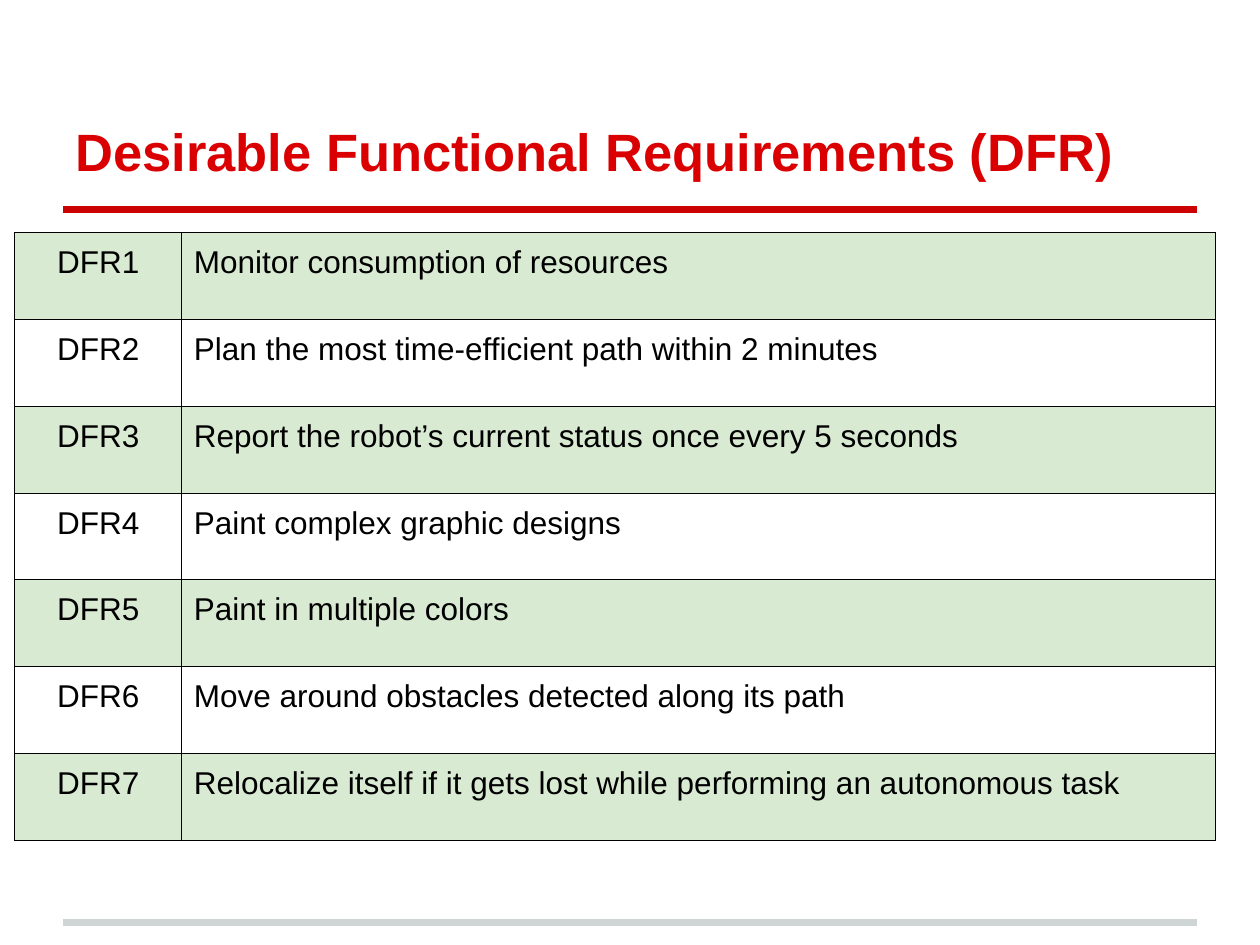
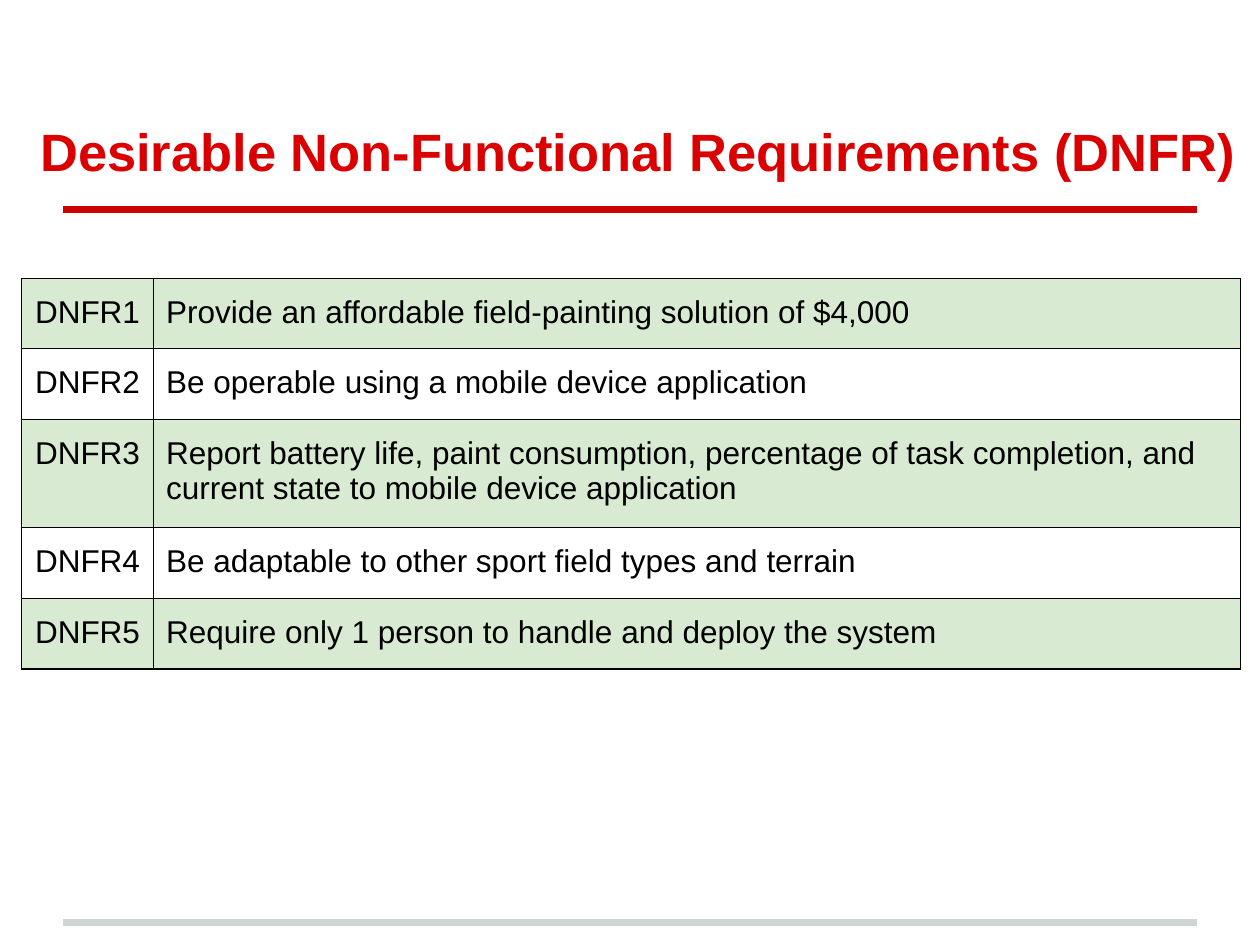
"""Builds two slides that list desirable requirements in striped tables."""
from lxml import etree
from pptx import Presentation
from pptx.dml.color import RGBColor
from pptx.enum import shapes, text
from pptx.oxml.ns import qn
from pptx.util import Cm, Pt

REQUIREMENT_SLIDES = [
    {
        "title": "Desirable Functional Requirements (DFR)",
        "title_left": 1.27, "title_width": 22.86,
        "prefix": "DFR",
        "requirements": [
            "Monitor consumption of resources",
            "Plan the most time-efficient path within 2 minutes",
            "Report the robot’s current status once every 5 seconds",
            "Paint complex graphic designs",
            "Paint in multiple colors",
            "Move around obstacles detected along its path",
            "Relocalize itself if it gets lost while performing an autonomous task",
        ],
        "table_left": 0.3, "table_top": 4.69,
        "columns": (3.36, 20.85), "row_height": 1.75, "vertical_margin": 0.25,
    },
    {
        "title": "Desirable Non-Functional Requirements (DNFR)",
        "title_left": 0.56, "title_width": 24.66,
        "prefix": "DNFR",
        "requirements": [
            "Provide an affordable field-painting solution of $4,000",
            "Be operable using a mobile device application",
            "Report battery life, paint consumption, percentage of task completion, "
            "and current state to mobile device application",
            "Be adaptable to other sport field types and terrain",
            "Require only 1 person to handle and deploy the system",
        ],
        "table_left": 0.43, "table_top": 5.61,
        "columns": (2.67, 21.9), "row_height": 1.41, "vertical_margin": 0.33,
    },
]

SLIDE_WIDTH, SLIDE_HEIGHT = 25.4, 19.05
SIDE_MARGIN = 1.27
INSET = 0.25
TITLE_TOP, TITLE_HEIGHT = 0.76, 3.17
RULES = [(18.59, "CFD4D4"), (4.23, "CC0202")]
STRIPE, BORDER = "D9EAD3", "000000"
TITLE_FONT = {"name": "Arial", "size": Pt(30), "bold": True}
CELL_FONT = {"name": "Arial", "size": Pt(18), "bold": False}
TITLE_COLOR, CELL_COLOR = "DA0002", "000000"


def color(value):
    return RGBColor.from_string(value)


def set_all(target, values):
    for name, value in values.items():
        setattr(target, name, value)


def write(paragraph, words, font, font_color, alignment):
    paragraph.text = words
    paragraph.alignment = alignment
    set_all(paragraph.font, font)
    paragraph.font.color.rgb = color(font_color)


def add_rule(slide, top, line_color):
    rule = slide.shapes.add_connector(
        shapes.MSO_CONNECTOR.STRAIGHT,
        Cm(SIDE_MARGIN), Cm(top), Cm(SLIDE_WIDTH - SIDE_MARGIN), Cm(top))
    rule.line.width = Pt(4)
    rule.line.color.rgb = color(line_color)
    etree.SubElement(rule._element.spPr, qn("a:effectLst"))


def add_title(slide, words, left, width):
    box = slide.shapes.add_textbox(Cm(left), Cm(TITLE_TOP), Cm(width), Cm(TITLE_HEIGHT))
    set_all(box.text_frame, {
        "word_wrap": True, "vertical_anchor": text.MSO_ANCHOR.BOTTOM,
        "margin_left": Cm(INSET), "margin_right": Cm(INSET),
        "margin_top": Cm(INSET), "margin_bottom": Cm(INSET)})
    write(box.text_frame.paragraphs[0], words, TITLE_FONT, TITLE_COLOR, text.PP_ALIGN.LEFT)


def add_borders(cell):
    properties = cell._tc.get_or_add_tcPr()
    for index, side in enumerate(("lnL", "lnR", "lnT", "lnB")):
        line = etree.Element(qn(f"a:{side}"), w=str(Pt(0.75)))
        fill = etree.SubElement(line, qn("a:solidFill"))
        etree.SubElement(fill, qn("a:srgbClr"), val=BORDER)
        properties.insert(index, line)


def format_cell(cell, words, alignment, striped, vertical_margin):
    set_all(cell, {
        "margin_left": Cm(INSET), "margin_right": Cm(INSET),
        "margin_top": Cm(vertical_margin), "margin_bottom": Cm(vertical_margin),
        "vertical_anchor": text.MSO_ANCHOR.TOP})
    write(cell.text_frame.paragraphs[0], words, CELL_FONT, CELL_COLOR, alignment)
    if striped:
        cell.fill.solid()
        cell.fill.fore_color.rgb = color(STRIPE)
    else:
        cell.fill.background()
    add_borders(cell)


def add_requirements(slide, content):
    requirements, widths = content["requirements"], content["columns"]
    height = content["row_height"]
    table = slide.shapes.add_table(
        len(requirements), len(widths), Cm(content["table_left"]), Cm(content["table_top"]),
        Cm(sum(widths)), Cm(height * len(requirements))).table
    set_all(table, {"first_row": False, "horz_banding": False})
    for column, width in zip(table.columns, widths):
        column.width = Cm(width)
    for index, requirement in enumerate(requirements):
        table.rows[index].height = Cm(height)
        entries = [(f"{content['prefix']}{index + 1}", text.PP_ALIGN.CENTER),
                   (requirement, text.PP_ALIGN.LEFT)]
        for cell, (words, alignment) in zip(table.rows[index].cells, entries):
            format_cell(cell, words, alignment, index % 2 == 0, content["vertical_margin"])


def main():
    presentation = Presentation()
    set_all(presentation, {"slide_width": Cm(SLIDE_WIDTH), "slide_height": Cm(SLIDE_HEIGHT)})
    for content in REQUIREMENT_SLIDES:
        slide = presentation.slides.add_slide(presentation.slide_layouts[6])
        for top, line_color in RULES:
            add_rule(slide, top, line_color)
        add_title(slide, content["title"], content["title_left"], content["title_width"])
        add_requirements(slide, content)
    presentation.save("out.pptx")


if __name__ == "__main__":
    main()
